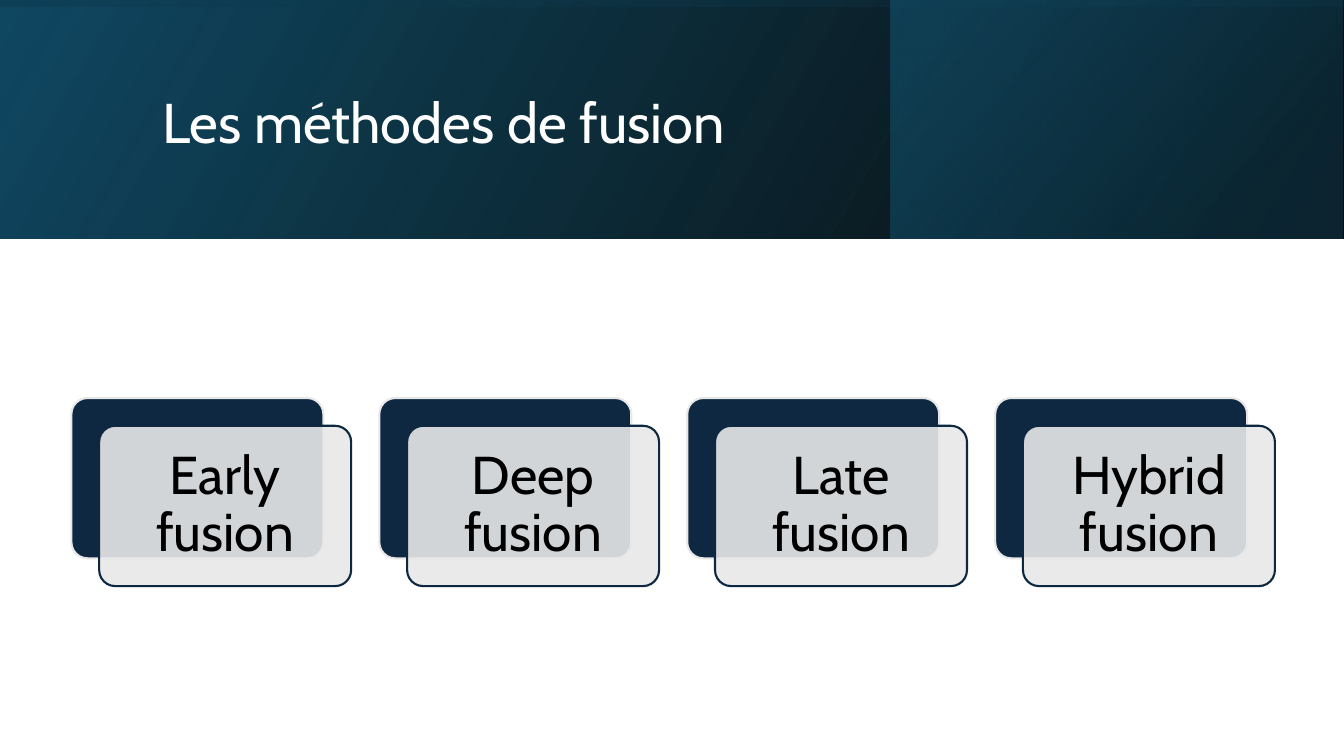
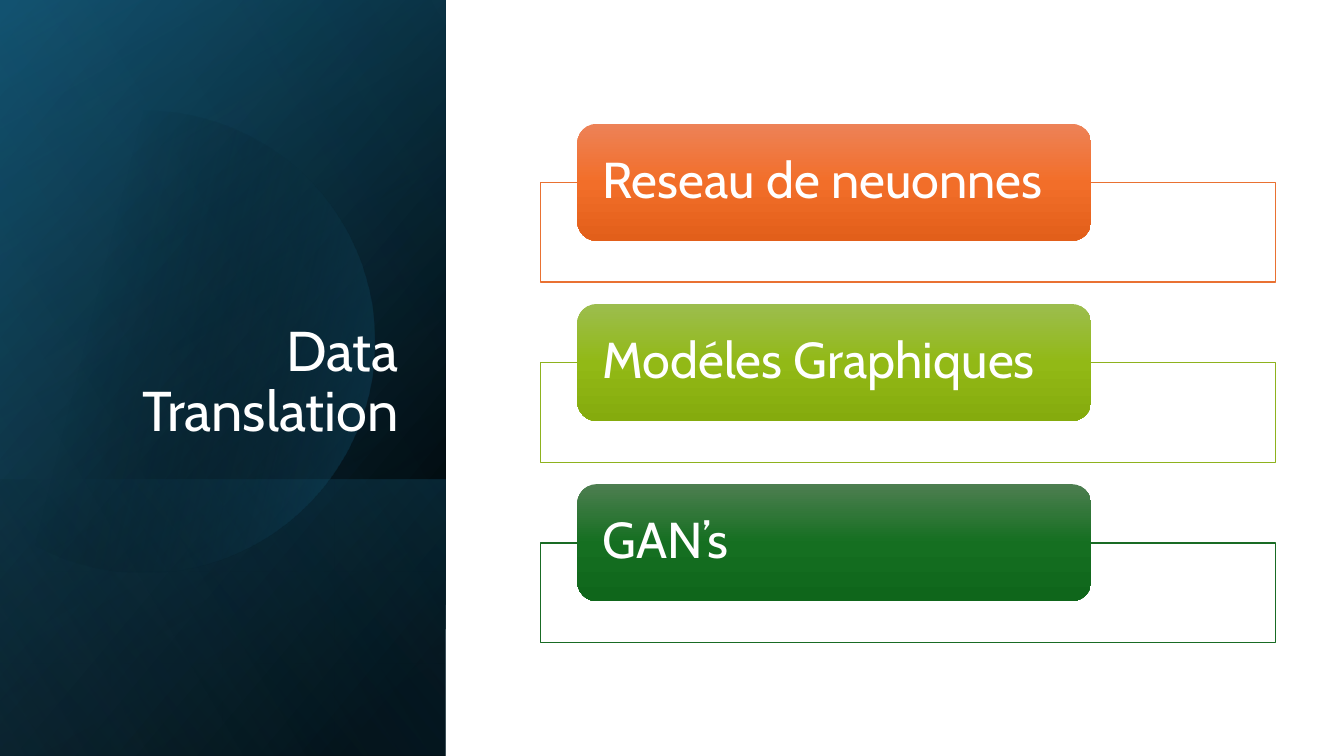
from math import acos, cos, sin
from lxml.etree import SubElement
from pptx import Presentation
from pptx.dml.color import RGBColor
from pptx.enum.shapes import MSO_SHAPE as Preset
from pptx.enum.text import MSO_ANCHOR as Anchor, PP_ALIGN as Align
from pptx.oxml.ns import qn
from pptx.util import Cm, Pt

FONT = "Cabin"
BLACK = RGBColor(0x00, 0x00, 0x00)
WHITE = RGBColor(0xFF, 0xFF, 0xFF)
NAVY = RGBColor(0x0E, 0x28, 0x41)
GREY = RGBColor(0xE8, 0xE8, 0xE8)
DEEP_BLUE = RGBColor(0x10, 0x48, 0x62)
DARK_TEAL = RGBColor(0x0B, 0x30, 0x41)
TEAL = RGBColor(0x15, 0x60, 0x82)
SKY = RGBColor(0x46, 0xB1, 0xE1)
ORANGE = RGBColor(0xE9, 0x71, 0x32)
ORANGE_SHADES = RGBColor(0xED, 0x82, 0x57), RGBColor(0xF2, 0x6E, 0x29), RGBColor(0xE2, 0x5F, 0x1A)
LIME = RGBColor(0x8E, 0xB2, 0x1E)
LIME_SHADES = RGBColor(0x9C, 0xBD, 0x4E), RGBColor(0x92, 0xB9, 0x16), RGBColor(0x85, 0xAB, 0x0D)
GREEN = RGBColor(0x19, 0x6B, 0x24)
GREEN_SHADES = RGBColor(0x4D, 0x7E, 0x50), RGBColor(0x15, 0x6F, 0x21), RGBColor(0x0F, 0x66, 0x1B)


def paint_gradient(shape, angle, stops):
    shape.shadow.inherit = False
    shape.line.fill.background()
    shape.fill.gradient()
    gradient = shape._element.spPr.find(qn("a:gradFill"))
    for child in list(gradient):
        gradient.remove(child)
    gradient.set("rotWithShape", "1")
    stop_list = SubElement(gradient, qn("a:gsLst"))
    for position, colour, opacity in stops:
        stop = SubElement(stop_list, qn("a:gs"), pos=str(position * 1000))
        tint = SubElement(stop, qn("a:srgbClr"), val=str(colour))
        SubElement(tint, qn("a:alpha"), val=str(opacity * 1000))
    SubElement(gradient, qn("a:lin"), ang=str(angle * 60000), scaled="0")


def write_text(shape, text, size, colour, align, anchor, inset_x, inset_y):
    frame = shape.text_frame
    frame.word_wrap = True
    frame.vertical_anchor = anchor
    frame.margin_left = frame.margin_right = Cm(inset_x)
    frame.margin_top = frame.margin_bottom = Cm(inset_y)
    paragraph = frame.paragraphs[0]
    paragraph.alignment = align
    paragraph.line_spacing = 0.9
    run = paragraph.add_run()
    run.text = text
    run.font.name = FONT
    run.font.size = Pt(size)
    run.font.color.rgb = colour


deck = Presentation()
deck.slide_width = Cm(33.87)
deck.slide_height = Cm(19.05)
fusion = deck.slides.add_slide(deck.slide_layouts[6])
translation = deck.slides.add_slide(deck.slide_layouts[6])

banner = (0, 0, 33.87, 6.02)
banner_end = (22.45, 0, 11.38, 6.02)
sidebar = (0, 0, 11.23, 19.05)
sidebar_foot = (0, 12.09, 11.23, 6.96)
panels = [
    (fusion, banner, 0, 330, [(0, BLACK, 96), (100, DEEP_BLUE, 100)]),
    (fusion, banner_end, 0, 320, [(19, DARK_TEAL, 68), (100, TEAL, 48)]),
    (fusion, banner, 270, 350, [(23, DEEP_BLUE, 16), (99, BLACK, 45)]),
    (translation, sidebar, 90, 50, [(8, BLACK, 100), (100, DEEP_BLUE, 100)]),
    (translation, sidebar, 90, 30, [(0, BLACK, 0), (99, TEAL, 46)]),
    (translation, sidebar_foot, 90, 130, [(2, TEAL, 29), (100, BLACK, 30)]),
    (translation, sidebar, 90, 120, [(0, BLACK, 0), (99, SKY, 11)]),
]
for slide, (left, top, width, height), turn, angle, stops in panels:
    if turn:
        left, top = left + (width - height) / 2, top + (height - width) / 2
        width, height = height, width
    panel = slide.shapes.add_shape(Preset.RECTANGLE, Cm(left), Cm(top), Cm(width), Cm(height))
    panel.rotation = turn
    panel._element.spPr.find(qn("a:xfrm")).set("flipH", "1")
    paint_gradient(panel, angle, stops)

disc_x, disc_y, radius = 3.63, 8.61, 5.82
reach = acos(-disc_x / radius)
steps = 120
rim = []
for step in range(steps + 1):
    turn = reach * (2 * step / steps - 1)
    rim.append((Cm(disc_x + radius * cos(turn)), Cm(disc_y + radius * sin(turn))))
outline = translation.shapes.build_freeform(*rim[0])
outline.add_line_segments(rim[1:], close=True)
paint_gradient(outline.convert_to_shape(), 14, [(29, BLACK, 0), (100, TEAL, 43)])

titles = [
    (fusion, "Les méthodes de fusion", (3.84, 0.97, 27, 4.37), Align.LEFT, Anchor.MIDDLE),
    (translation, "Data Translation", (1.63, 4.67, 8.66, 6.65), Align.RIGHT, Anchor.BOTTOM),
]
for slide, text, box, align, anchor in titles:
    title = slide.shapes.add_textbox(*[Cm(length) for length in box])
    write_text(title, text, 40, WHITE, align, anchor, 0.25, 0.13)

for column, method in enumerate(["Early fusion", "Deep fusion", "Late fusion", "Hybrid fusion"]):
    left = 1.8 + 7.76 * column
    for shift, fill, edge in [(0, NAVY, GREY), (0.7, GREY, NAVY)]:
        card = fusion.shapes.add_shape(
            Preset.ROUNDED_RECTANGLE, Cm(left + shift), Cm(10.03 + shift), Cm(6.35), Cm(4.04))
        card.adjustments[0] = 0.1
        card.shadow.inherit = False
        card.fill.solid()
        card.fill.fore_color.rgb = fill
        card.line.color.rgb = edge
        card.line.width = Pt(1.5)
    tint = card._element.spPr.find(qn("a:solidFill")).find(qn("a:srgbClr"))
    SubElement(tint, qn("a:alpha"), val="90000")
    write_text(card, method, 38, BLACK, Align.CENTER, Anchor.MIDDLE, 0.41, 0.41)

approaches = [
    ("Reseau de neuonnes", ORANGE, ORANGE_SHADES),
    ("Modéles Graphiques", LIME, LIME_SHADES),
    ("GAN’s", GREEN, GREEN_SHADES),
]
for row, (approach, edge, shades) in enumerate(approaches):
    top = 3.12 + 4.54 * row
    tray = translation.shapes.add_shape(
        Preset.RECTANGLE, Cm(13.62), Cm(top + 1.48), Cm(18.52), Cm(2.51))
    tray.shadow.inherit = False
    tray.fill.solid()
    tray.fill.fore_color.rgb = WHITE
    tray.line.color.rgb = edge
    tray.line.width = Pt(1)
    label = translation.shapes.add_shape(
        Preset.ROUNDED_RECTANGLE, Cm(14.55), Cm(top), Cm(12.95), Cm(2.95))
    paint_gradient(label, 90, [(50 * index, shade, 100) for index, shade in enumerate(shades)])
    write_text(label, approach, 36, WHITE, Align.LEFT, Anchor.MIDDLE, 0.49, 0)

deck.save("out.pptx")
